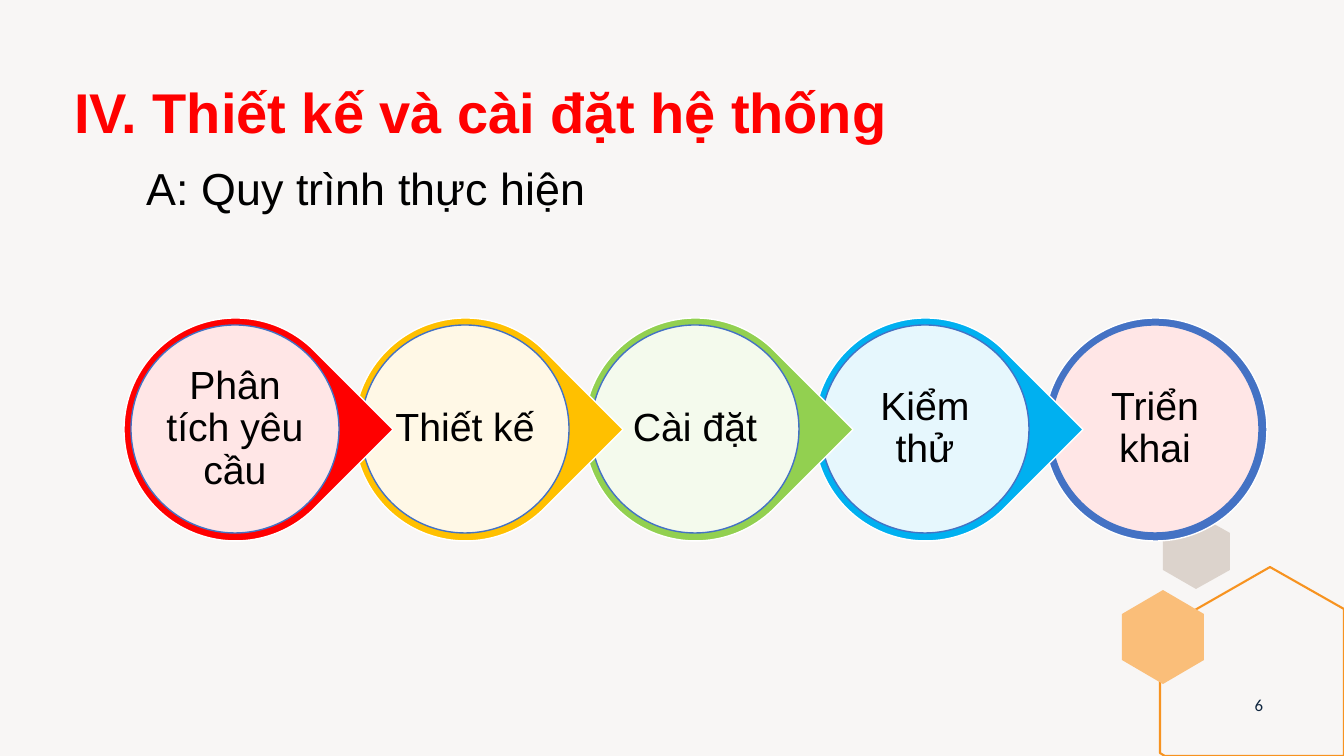
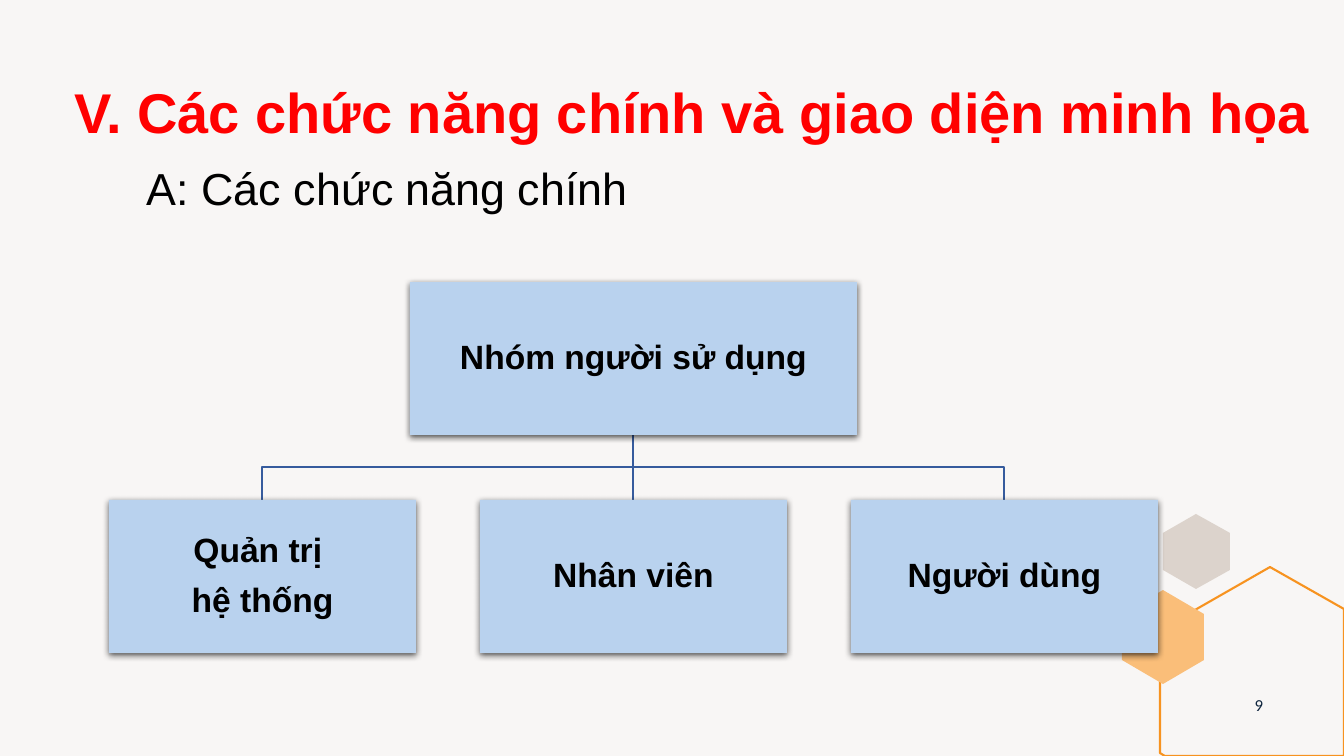
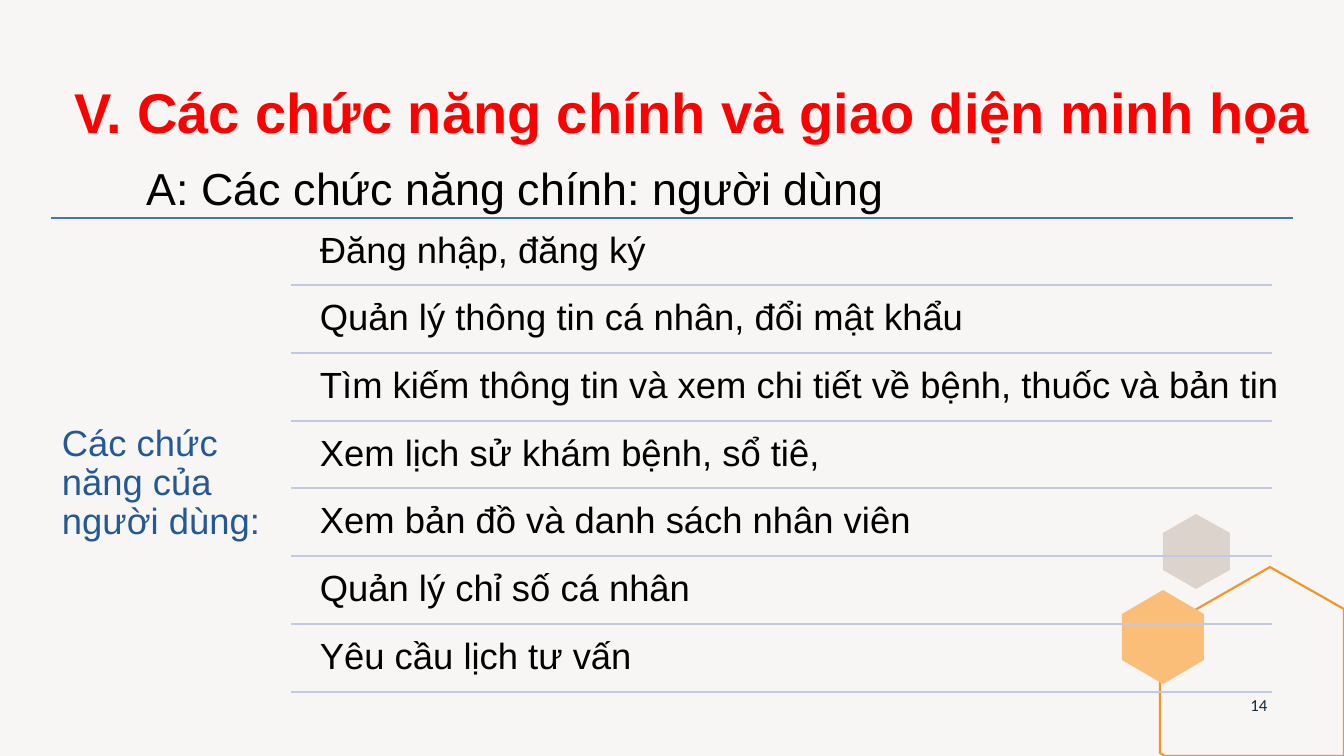
from lxml.etree import SubElement
from pptx import Presentation
from pptx.dml.color import RGBColor
from pptx.enum.shapes import MSO_CONNECTOR, MSO_SHAPE
from pptx.enum.text import MSO_ANCHOR, MSO_AUTO_SIZE, PP_ALIGN
from pptx.oxml.ns import qn
from pptx.util import Pt

EMU_PER_PIXEL = 914400 / 100.8
BACKGROUND, SAND, ORANGE, PEACH = "F8F6F5", "DCD3CC", "F79320", "FABE79"
RED, BLACK, WHITE, NAVY, BLUE = "FF0000", "000000", "FFFFFF", "0F253E", "4472C4"
BOX_BLUE, BRANCH_BLUE, LABEL_BLUE, RULE_BLUE = "B9D2EE", "365B9D", "245995", "C1C9E4"


def px(length):
    """Turn pixels into EMU."""
    return round(length * EMU_PER_PIXEL)


def colour(hex_code):
    """Turn a hex string into a colour."""
    return RGBColor.from_string(hex_code)


def paint(shape, fill=None, line=None, width=1):
    """Set fill and outline of a shape and drop its shadow."""
    shape.shadow.inherit = False
    if fill:
        shape.fill.solid()
        shape.fill.fore_color.rgb = colour(fill)
    else:
        shape.fill.background()
    if line:
        shape.line.color.rgb = colour(line)
        shape.line.width = Pt(width)
    else:
        shape.line.fill.background()


def set_alpha(shape, percent):
    """Make the solid fill of a shape partly transparent."""
    fill_colour = shape.fill._xPr.find(qn("a:solidFill"))[0]
    SubElement(fill_colour, qn("a:alpha"), val=str(percent * 1000))


def drop_shadow(shape):
    """Give a shape a soft shadow straight below it."""
    effects = shape._element.spPr.find(qn("a:effectLst"))
    shadow = SubElement(effects, qn("a:outerShdw"), blurRad="57150",
                        dist="19050", dir="5400000", rotWithShape="0")
    shade = SubElement(shadow, qn("a:srgbClr"), val=BLACK)
    SubElement(shade, qn("a:alpha"), val="63000")


def write(shape, lines, size, hex_code=BLACK, font="Arial", bold=False,
          align=PP_ALIGN.LEFT, anchor=MSO_ANCHOR.TOP, spacing=0.9, inset=None):
    """Fill a shape with one paragraph for each line."""
    frame = shape.text_frame
    frame.word_wrap = True
    frame.auto_size = MSO_AUTO_SIZE.NONE
    frame.vertical_anchor = anchor
    if inset is not None:
        frame.margin_left = frame.margin_right = px(inset)
        frame.margin_top = frame.margin_bottom = px(inset)
    for index, line in enumerate(lines):
        paragraph = frame.add_paragraph() if index else frame.paragraphs[0]
        paragraph.alignment = align
        paragraph.line_spacing = spacing
        if index:
            paragraph.space_before = Pt(0.4 * size)
        run = paragraph.add_run()
        run.text = line
        run.font.name = font
        run.font.size = Pt(size)
        run.font.bold = bold
        run.font.color.rgb = colour(hex_code)


class Deck:
    """Holds the shared style and the current slide."""

    def __init__(self):
        """Prepare the slide size and the layout."""
        self.presentation = Presentation()
        self.presentation.slide_width = px(1344)
        self.presentation.slide_height = px(756)
        self.layout = self.presentation.slide_layouts[5]
        self.layout.background.fill.solid()
        self.layout.background.fill.fore_color.rgb = colour(BACKGROUND)
        for footer in list(self.layout.placeholders)[1:]:
            footer._element.getparent().remove(footer._element)
        self.decorated = False

    def start(self, title, subtitle, number, title_width=1280, title_height=95,
              subtitle_width=505):
        """Open a slide with its title, subtitle and number."""
        self.slide = self.presentation.slides.add_slide(self.layout)
        self.shapes = self.slide.shapes
        if not self.decorated:
            self.decorate()
        heading = self.shapes.title
        heading.left, heading.top = px(64), px(80)
        heading.width, heading.height = px(title_width), px(title_height)
        write(heading, [title], 40, RED, bold=True)
        self.text(137, 156, subtitle_width, 64, [subtitle], 32, spacing=1)
        self.text(1234, 685, 50, 40, [str(number)], 12, NAVY, font="Calibri",
                  align=PP_ALIGN.CENTER, anchor=MSO_ANCHOR.MIDDLE, spacing=1)

    def decorate(self):
        """Draw the corner hexagons and move them to the layout."""
        house = [(1270, 567), (1344, 609), (1344, 756),
                 (1165, 756), (1160, 753), (1160, 630)]
        corner = [self.hexagon(1163, 514, 67, 75, SAND),
                  self.outline(house, closed=True, line=ORANGE, width=1.5),
                  self.hexagon(1122, 590, 82, 94, PEACH)]
        for part in corner:
            self.layout.shapes._spTree.append(part._element)
        self.decorated = True

    def outline(self, points, closed=False, **style):
        """Draw a freeform through the points."""
        builder = self.shapes.build_freeform(*points[0], scale=EMU_PER_PIXEL)
        builder.add_line_segments(points[1:], close=closed)
        shape = builder.convert_to_shape()
        paint(shape, **style)
        return shape

    def hexagon(self, left, top, width, height, fill):
        """Draw an upright hexagon."""
        middle, right = left + width / 2, left + width
        upper, lower = top + height / 4, top + height * 3 / 4
        points = [(middle, top), (right, upper), (right, lower),
                  (middle, top + height), (left, lower), (left, upper)]
        return self.outline(points, closed=True, fill=fill)

    def shape(self, preset, left, top, width, height, **style):
        """Draw a preset shape."""
        shape = self.shapes.add_shape(preset, px(left), px(top),
                                      px(width), px(height))
        paint(shape, **style)
        return shape

    def text(self, left, top, width, height, lines, size, *args, **style):
        """Add a text box."""
        box = self.shapes.add_textbox(px(left), px(top), px(width), px(height))
        write(box, lines, size, *args, **style)

    def line(self, x1, y1, x2, y2, hex_code):
        """Draw a straight line."""
        rule = self.shapes.add_connector(MSO_CONNECTOR.STRAIGHT, px(x1), px(y1),
                                         px(x2), px(y2))
        rule.line.color.rgb = colour(hex_code)
        rule.line.width = Pt(1)
        SubElement(rule._element.spPr, qn("a:effectLst"))

    def step(self, left, top, label, fill, last=False):
        """Draw one process step: a ring, pointed unless last, and its disc."""
        preset = MSO_SHAPE.OVAL if last else MSO_SHAPE.TEAR
        ring = self.shape(preset, left, top, 223, 223, fill=fill, line=WHITE)
        disc = self.shape(MSO_SHAPE.OVAL, left + 7, top + 7, 208, 208,
                          fill="FFE6E6" if last else WHITE, line=BLUE)
        if not last:
            ring.rotation = 45
            set_alpha(disc, 90)
        write(disc, [label], 28, align=PP_ALIGN.CENTER,
              anchor=MSO_ANCHOR.MIDDLE, inset=2)

    def group_box(self, left, top, width, lines):
        """Draw one box of the user group chart."""
        box = self.shape(MSO_SHAPE.RECTANGLE, left, top, width, 153, fill=BOX_BLUE)
        drop_shadow(box)
        write(box, lines, 24, bold=True, align=PP_ALIGN.CENTER,
              anchor=MSO_ANCHOR.MIDDLE, inset=2)


def process_slide(deck):
    """Build the slide with the five process steps."""
    deck.start("IV. Thiết kế và cài đặt hệ thống", "A: Quy trình thực hiện", 6,
               title_width=1200, subtitle_width=463)
    steps = [("Phân tích yêu cầu", RED), ("Thiết kế", "FFC000"),
             ("Cài đặt", "92D050"), ("Kiểm thử", "00B0F0"), ("Triển khai", BLUE)]
    final = len(steps) - 1
    for index in range(final, -1, -1):
        label, fill = steps[index]
        deck.step(124 + 230 * index, 318, label, fill, last=index == final)


def groups_slide(deck):
    """Build the slide with the tree of user groups."""
    deck.start("V. Các chức năng chính và giao diện minh họa",
               "A: Các chức năng chính", 9)
    groups = [["Quản trị ", "hệ thống"], ["Nhân viên"], ["Người dùng"]]
    lefts = [109 + 371 * index for index in range(len(groups))]
    root_centre, root_bottom, bus, group_top = 633, 435, 467, 500
    deck.line(root_centre, root_bottom, root_centre, group_top, BRANCH_BLUE)
    for left in (lefts[0], lefts[-1]):
        centre = left + 153
        deck.outline([(root_centre, root_bottom), (root_centre, bus),
                      (centre, bus), (centre, group_top)], line=BRANCH_BLUE)
    deck.group_box(410, 282, 447, ["Nhóm người sử dụng"])
    for left, lines in zip(lefts, groups):
        deck.group_box(left, group_top, 307, lines)


def functions_slide(deck):
    """Build the slide that lists the functions of a user."""
    deck.start("V. Các chức năng chính và giao diện minh họa",
               "A: Các chức năng chính: người dùng", 14,
               title_height=156, subtitle_width=1195)
    functions = ["Đăng nhập, đăng ký",
                 "Quản lý thông tin cá nhân, đổi mật khẩu",
                 "Tìm kiếm thông tin và xem chi tiết về bệnh, thuốc và bản tin",
                 "Xem lịch sử khám bệnh, sổ tiê,",
                 "Xem bản đồ và danh sách nhân viên",
                 "Quản lý chỉ số cá nhân",
                 "Yêu cầu lịch tư vấn"]
    list_top, list_height = 218, 474
    deck.line(51, list_top, 1293, list_top, BLUE)
    deck.text(51, 414, 240, 281, ["Các chức năng của người dùng:"], 26,
              LABEL_BLUE, inset=11)
    for index, function in enumerate(functions):
        row_top, row_bottom = (list_top + list_height * edge // len(functions)
                               for edge in (index, index + 1))
        deck.text(309, row_top + 3, 983, 64, [function], 26, inset=11)
        deck.line(291, row_bottom, 1272, row_bottom, RULE_BLUE)


deck = Deck()
process_slide(deck)
groups_slide(deck)
functions_slide(deck)
deck.presentation.save("out.pptx")
